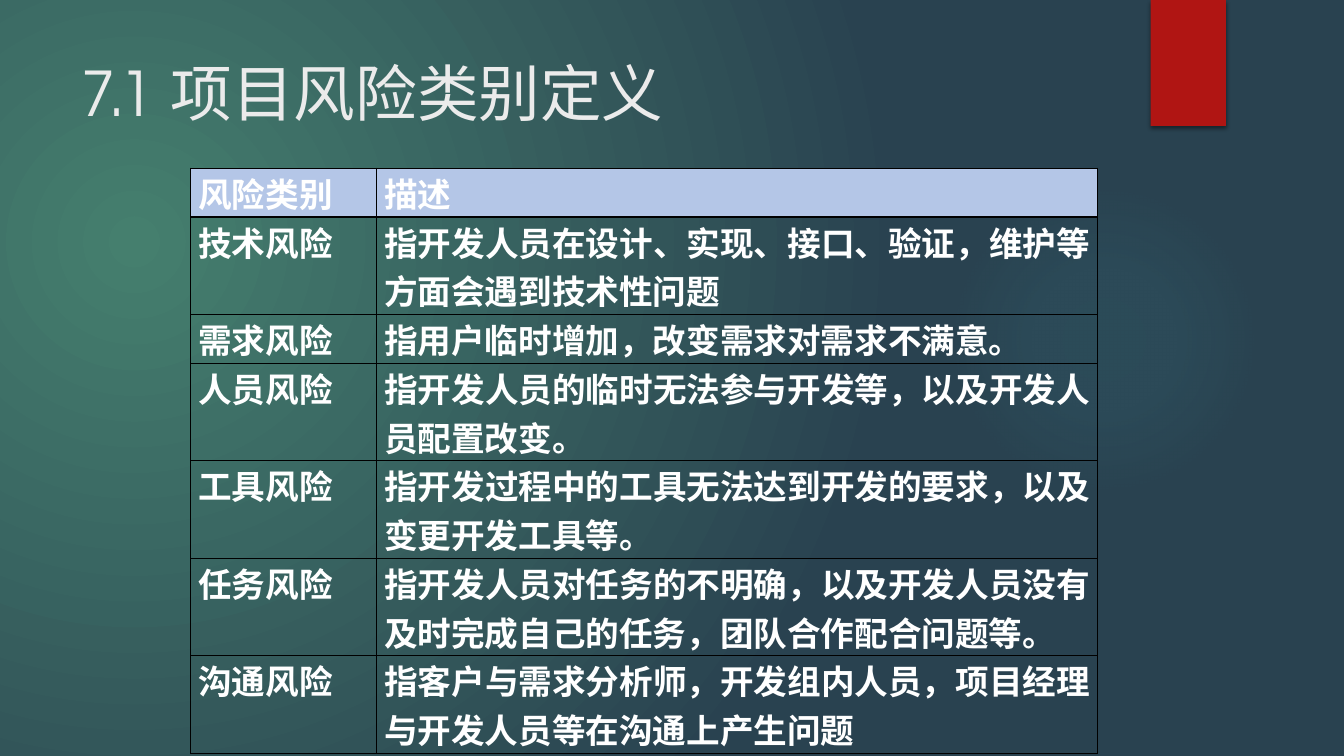
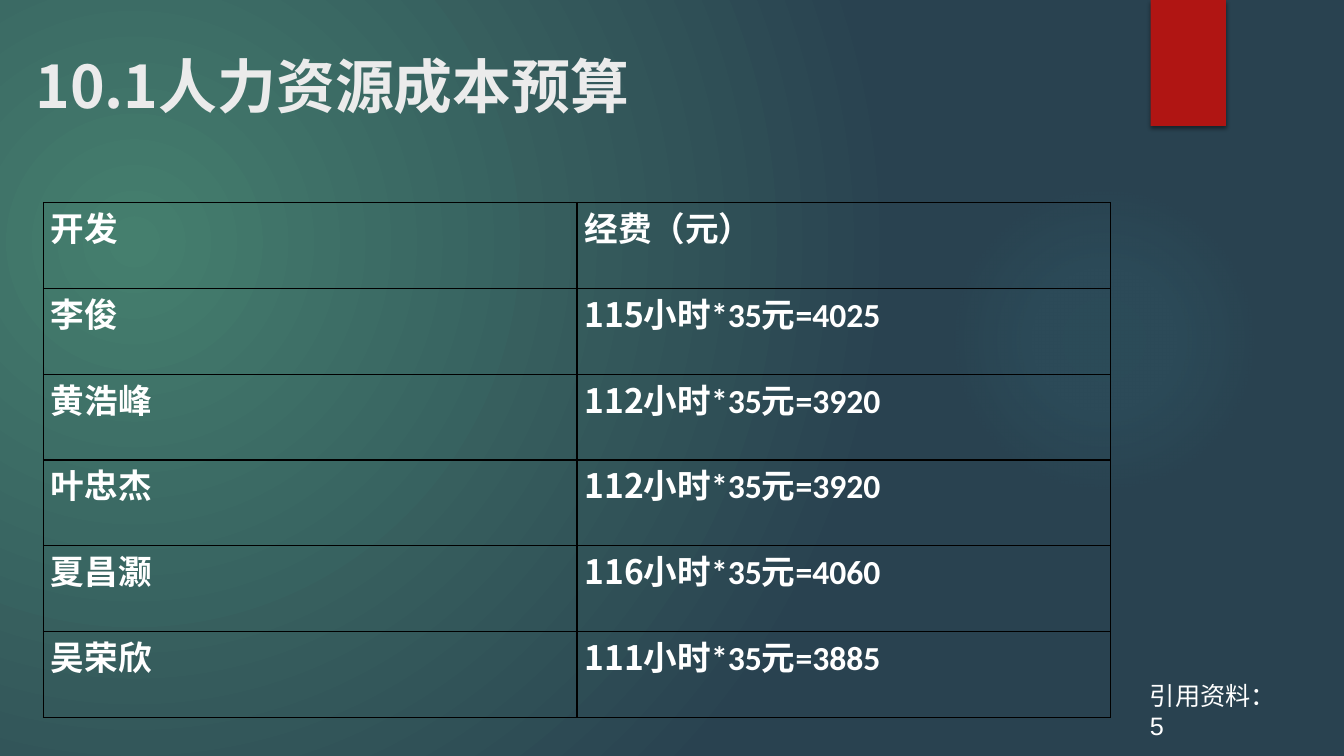
from dataclasses import dataclass

from lxml import etree
from pptx import Presentation
from pptx.dml.color import RGBColor
from pptx.enum.shapes import MSO_SHAPE
from pptx.enum.text import MSO_ANCHOR, PP_ALIGN
from pptx.oxml import parse_xml
from pptx.oxml.ns import nsdecls, qn
from pptx.util import Inches, Pt

OVAL, RECTANGLE = MSO_SHAPE.OVAL, MSO_SHAPE.RECTANGLE
TOP = MSO_ANCHOR.TOP
LEFT, JUSTIFY = PP_ALIGN.LEFT, PP_ALIGN.JUSTIFY

WIDTH, HEIGHT = Inches(13.333), Inches(7.5)
COLORS = {
    "glow": "457F6E", "base": "294250", "halo": "50B9C1", "ribbon": "B01513",
    "title": "EBEBEB", "text": "FFFFFF", "header": "B4C6E7", "line": "000000",
}
CHINESE, BODY, LIGHT, PLAIN = "Noto Sans CJK SC", "Calibri", "TeX Gyre Adventor", "Arial"
HOURLY_RATE = 35


@dataclass(frozen=True)
class Area:
    """Place on the slide, in percent of its width and height."""
    left: float
    top: float
    width: float
    height: float

    def box(self) -> tuple[int, int, int, int]:
        return across(self.left), down(self.top), across(self.width), down(self.height)


@dataclass(frozen=True)
class Style:
    font: str
    size: float
    color: str
    bold: bool = False


@dataclass(frozen=True)
class Span:
    text: str
    style: Style


@dataclass(frozen=True)
class Grid:
    """Table with column widths and row heights in percent of the slide."""
    left: float
    top: float
    columns: list[float]
    row_heights: list[float]
    rows: list[list[list[Span]]]
    align: PP_ALIGN = LEFT
    header_fill: str | None = None


CELL = Style(BODY, 24, "text", True)
NUMBER = Style(CHINESE, 24, "text", True)


def across(percent: float) -> int:
    return round(WIDTH * percent / 100)


def down(percent: float) -> int:
    return round(HEIGHT * percent / 100)


def rgb(name: str) -> RGBColor:
    return RGBColor.from_string(COLORS[name])


def set_glow(owner, fill, stops: list[tuple[int, str, int]], focus: tuple[int, ...]) -> None:
    """Fill with a circular gradient; stops are position, colour, opacity."""
    fill.solid()
    solid = next(owner.element.iter(qn("a:solidFill")))
    marks = "".join(
        f'<a:gs pos="{place * 1000}"><a:srgbClr val="{COLORS[color]}">'
        f'<a:alpha val="{opacity * 1000}"/></a:srgbClr></a:gs>'
        for place, color, opacity in stops)
    sides = " ".join(f'{side}="{value * 1000}"' for side, value in zip("ltrb", focus))
    solid.getparent().replace(solid, parse_xml(
        f'<a:gradFill {nsdecls("a")} rotWithShape="1"><a:gsLst>{marks}</a:gsLst>'
        f'<a:path path="circle"><a:fillToRect {sides}/></a:path></a:gradFill>'))


def add_plain_shape(page, kind, area: Area):
    shape = page.shapes.add_shape(kind, *area.box())
    shape.shadow.inherit = False
    shape.line.fill.background()
    return shape


def add_page(deck):
    """New page with the halo and the ribbon."""
    page = deck.slides.add_slide(deck.slide_layouts[6])
    halo = add_plain_shape(page, OVAL, Area(70.58, 24.4, 23.1, 41.07))
    set_glow(halo, halo.fill, [(0, "halo", 7), (36, "halo", 6), (69, "halo", 0)],
             (50, 50, 50, 50))
    ribbon = add_plain_shape(page, RECTANGLE, Area(85.62, 0, 5.6, 16.67))
    ribbon.fill.solid()
    ribbon.fill.fore_color.rgb = rgb("ribbon")
    next(ribbon.element.iter(qn("a:effectLst"))).append(parse_xml(
        f'<a:outerShdw {nsdecls("a")} blurRad="{Pt(3)}" dist="{Pt(2)}" dir="5400000" '
        f'rotWithShape="0"><a:srgbClr val="{COLORS["line"]}"><a:alpha val="45000"/>'
        '</a:srgbClr></a:outerShdw>'))
    return page


def format_run(run, style: Style) -> None:
    font = run.font
    font.name, font.size, font.bold = style.font, Pt(style.size), style.bold
    font.color.rgb = rgb(style.color)
    latin = run.font._element.find(qn("a:latin"))
    latin.addnext(parse_xml(f'<a:ea {nsdecls("a")} typeface="{CHINESE}"/>'))


def add_text(page, area: Area, text: str, style: Style):
    box = page.shapes.add_textbox(*area.box())
    frame = box.text_frame
    frame.word_wrap, frame.vertical_anchor = True, TOP
    frame.text = text
    format_run(frame.paragraphs[0].runs[0], style)
    return box


def add_title(page, left: float, top: float, text: str, style: Style) -> None:
    add_text(page, Area(left, top, 77.18, 20.4), text, style)


def set_borders(cell) -> None:
    properties = cell._tc.get_or_add_tcPr()
    for index, side in enumerate(("lnL", "lnR", "lnT", "lnB")):
        border = etree.Element(qn(f"a:{side}"), w=str(Pt(1)))
        fill = etree.SubElement(border, qn("a:solidFill"))
        etree.SubElement(fill, qn("a:srgbClr"), val=COLORS["line"])
        properties.insert(index, border)


def fill_cell(cell, spans: list[Span], align: PP_ALIGN, fill: str | None) -> None:
    cell.margin_left = cell.margin_right = Pt(5.4)
    cell.margin_top = cell.margin_bottom = 0
    para = cell.text_frame.paragraphs[0]
    para.alignment = align
    for span in spans:
        run = para.add_run()
        run.text = span.text
        format_run(run, span.style)
    if fill:
        cell.fill.solid()
        cell.fill.fore_color.rgb = rgb(fill)
    else:
        cell.fill.background()
    set_borders(cell)


def add_grid(page, grid: Grid) -> None:
    area = Area(grid.left, grid.top, sum(grid.columns), sum(grid.row_heights))
    table = page.shapes.add_table(len(grid.rows), len(grid.columns), *area.box()).table
    table.first_row = table.horz_banding = False
    for column, width in zip(table.columns, grid.columns):
        column.width = across(width)
    for index, (row, height) in enumerate(zip(table.rows, grid.row_heights)):
        row.height = down(height)
        for cell, spans in zip(row.cells, grid.rows[index]):
            fill_cell(cell, spans, grid.align, grid.header_fill if index == 0 else None)


def plain_row(*texts: str) -> list[list[Span]]:
    return [[Span(text, CELL)] for text in texts]


def cost_row(name: str, hours: int) -> list[list[Span]]:
    cost = f"小时*{HOURLY_RATE}元={hours * HOURLY_RATE}"
    return [[Span(name, CELL)], [Span(str(hours), NUMBER), Span(cost, CELL)]]


# Slide contents
RISKS = [
    ("风险类别", "描述"),
    ("技术风险", "指开发人员在设计、实现、接口、验证，维护等方面会遇到技术性问题"),
    ("需求风险", "指用户临时增加，改变需求对需求不满意。"),
    ("人员风险", "指开发人员的临时无法参与开发等，以及开发人员配置改变。"),
    ("工具风险", "指开发过程中的工具无法达到开发的要求，以及变更开发工具等。"),
    ("任务风险", "指开发人员对任务的不明确，以及开发人员没有及时完成自己的任务，团队合作配合问题等。"),
    ("沟通风险", "指客户与需求分析师，开发组内人员，项目经理与开发人员等在沟通上产生问题"),
]
RISK_LINES = [1, 2, 1, 2, 2, 2, 2]
RISK_LINE_HEIGHT = 6.45
HOURS = {"李俊": 115, "黄浩峰": 112, "叶忠杰": 112, "夏昌灏": 116, "吴荣欣": 111}


def add_risk_page(deck) -> None:
    page = add_page(deck)
    add_title(page, 5.33, 6.67, "7.1 项目风险类别定义", Style(LIGHT, 44, "title"))
    add_grid(page, Grid(
        14.2, 22.27, [13.82, 53.63], [RISK_LINE_HEIGHT * lines for lines in RISK_LINES],
        [plain_row(*risk) for risk in RISKS], JUSTIFY, "header"))


def add_budget_page(deck) -> None:
    page = add_page(deck)
    add_title(page, 1.9, 5.87, "10.1人力资源成本预算", Style(CHINESE, 42, "title", True))
    rows = [plain_row("开发", "经费（元）")]
    rows += [cost_row(name, hours) for name, hours in HOURS.items()]
    add_grid(page, Grid(3.23, 26.8, [39.7] * 2, [11.35] * len(rows), rows))
    # Reference note, its number on a second line
    note = add_text(page, Area(84.83, 89.33, 12, 5.33), "引用资料：5",
                    Style(PLAIN, 18, "text"))
    note.text_frame.margin_right = Inches(0.2)


def main() -> None:
    deck = Presentation()
    deck.slide_width, deck.slide_height = WIDTH, HEIGHT
    # Background shared by all pages
    master = deck.slide_master
    set_glow(master, master.background.fill, [(0, "glow", 100), (100, "base", 100)],
             (45, 65, 125, 100))
    add_risk_page(deck)
    add_budget_page(deck)
    deck.save("out.pptx")


if __name__ == "__main__":
    main()
